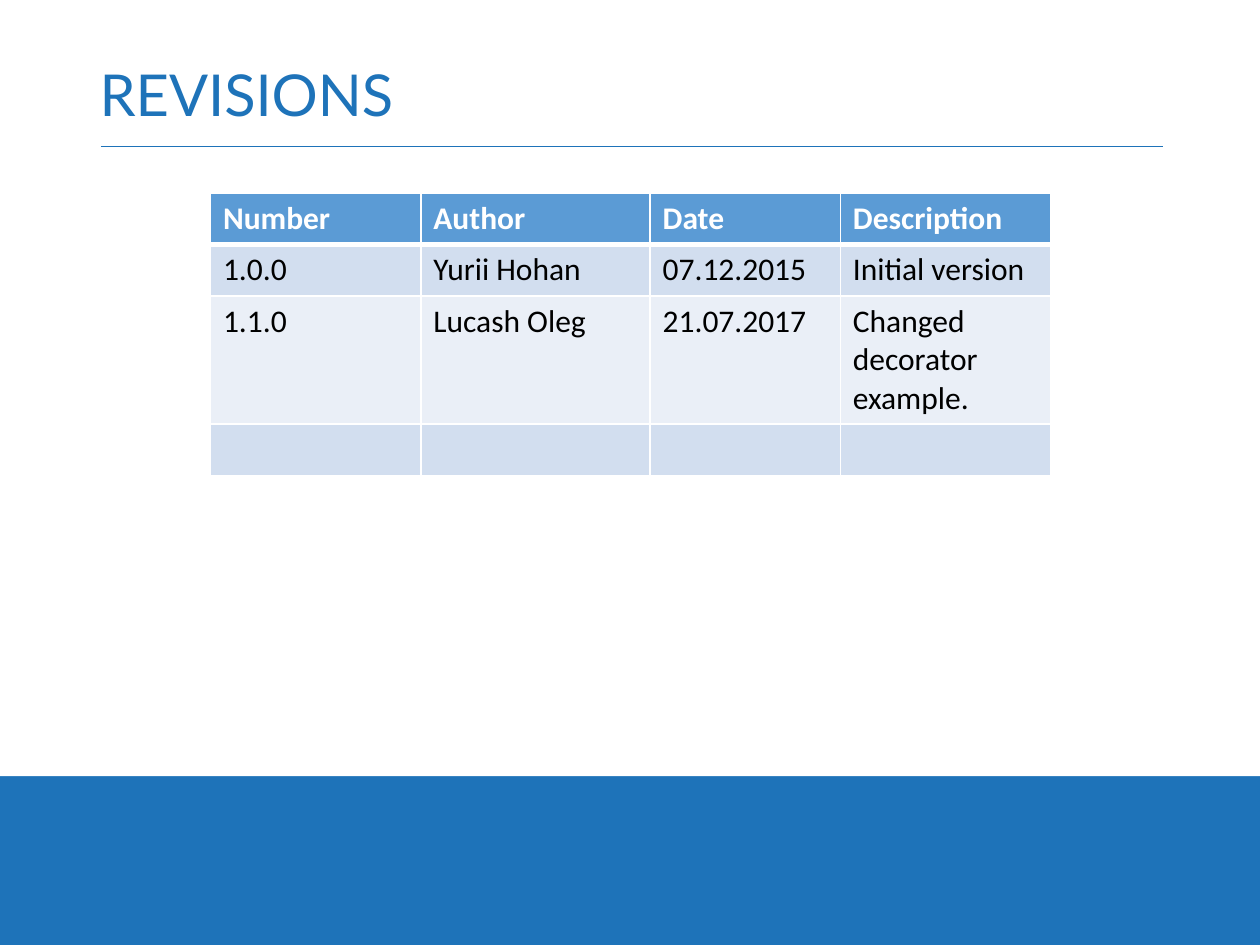
from lxml import etree
from pptx import Presentation
from pptx.dml.color import RGBColor
from pptx.enum import shapes, text
from pptx.oxml import ns
from pptx.util import Inches, Pt

BLUE = RGBColor(0x1E, 0x73, 0xB9)
HEADER = RGBColor(0x5B, 0x9B, 0xD5)
BAND_DARK = RGBColor(0xD2, 0xDE, 0xEF)
BAND_LIGHT = RGBColor(0xEA, 0xEF, 0xF7)
WHITE = RGBColor(0xFF, 0xFF, 0xFF)
BLACK = RGBColor(0, 0, 0)


def add_border(cell, side, width):
    line = etree.SubElement(cell._tc.get_or_add_tcPr(), ns.qn(f"a:ln{side}"), w=str(Pt(width)))
    fill = etree.SubElement(line, ns.qn("a:solidFill"))
    etree.SubElement(fill, ns.qn("a:srgbClr"), val=str(WHITE))


prs = Presentation()
prs.slide_width, prs.slide_height = Inches(10), Inches(7.5)
slide = prs.slides.add_slide(prs.slide_layouts[5])
slide.background.fill.solid()
slide.background.fill.fore_color.rgb = BLUE

title = slide.shapes.title
title.left, title.top = Inches(0.69), Inches(0.4)
title.width, title.height = Inches(8.62), Inches(0.76)
title.text_frame.text = "REVISIONS"
title.text_frame.vertical_anchor = text.MSO_ANCHOR.MIDDLE
heading = title.text_frame.paragraphs[0]
heading.alignment = text.PP_ALIGN.LEFT
heading.line_spacing = 0.9
heading.font.name = "Lato"
heading.font.size = Pt(33)
heading.font.color.rgb = BLUE

page = slide.shapes.add_shape(
    shapes.MSO_SHAPE.RECTANGLE, 0, 0, prs.slide_width, Inches(6.16))
page.shadow.inherit = False
page.fill.solid()
page.fill.fore_color.rgb = WHITE
page.line.fill.background()

title_rule = slide.shapes.add_connector(
    shapes.MSO_CONNECTOR.STRAIGHT, Inches(0.8), Inches(1.16), Inches(9.23), Inches(1.16))
title_rule.line.color.rgb = BLUE
title_rule.line.width = Pt(0.5)
etree.SubElement(title_rule.element.spPr, ns.qn("a:effectLst"))

for backdrop in (page, title_rule):
    title.element.addprevious(backdrop.element)

revisions = [
    ("Number", "Author", "Date", "Description"),
    ("1.0.0", "Yurii Hohan", "07.12.2015", "Initial version"),
    ("1.1.0", "Lucash Oleg", "21.07.2017", "Changed decorator example."),
    ("", "", "", ""),
]
row_fills = [HEADER, BAND_DARK, BAND_LIGHT, BAND_DARK]
column_widths = [1.67, 1.82, 1.51, 1.67]

history = slide.shapes.add_table(
    len(revisions), len(column_widths),
    Inches(1.67), Inches(1.53), Inches(6.67), Inches(1.64)).table
for column, width in zip(history.columns, column_widths):
    column.width = Inches(width)

for row_index, (revision, row_fill) in enumerate(zip(revisions, row_fills)):
    is_header = row_index == 0
    history.rows[row_index].height = Inches(0.41)
    for column_index, entry in enumerate(revision):
        cell = history.cell(row_index, column_index)
        for side in "LRTB":
            thick = (is_header and side == "B") or (row_index == 1 and side == "T")
            add_border(cell, side, 3 if thick else 1)
        cell.fill.solid()
        cell.fill.fore_color.rgb = row_fill
        cell.text = entry
        font = cell.text_frame.paragraphs[0].font
        font.name = "Calibri"
        font.size = Pt(18)
        font.bold = is_header
        font.color.rgb = WHITE if is_header else BLACK

prs.save("out.pptx")
